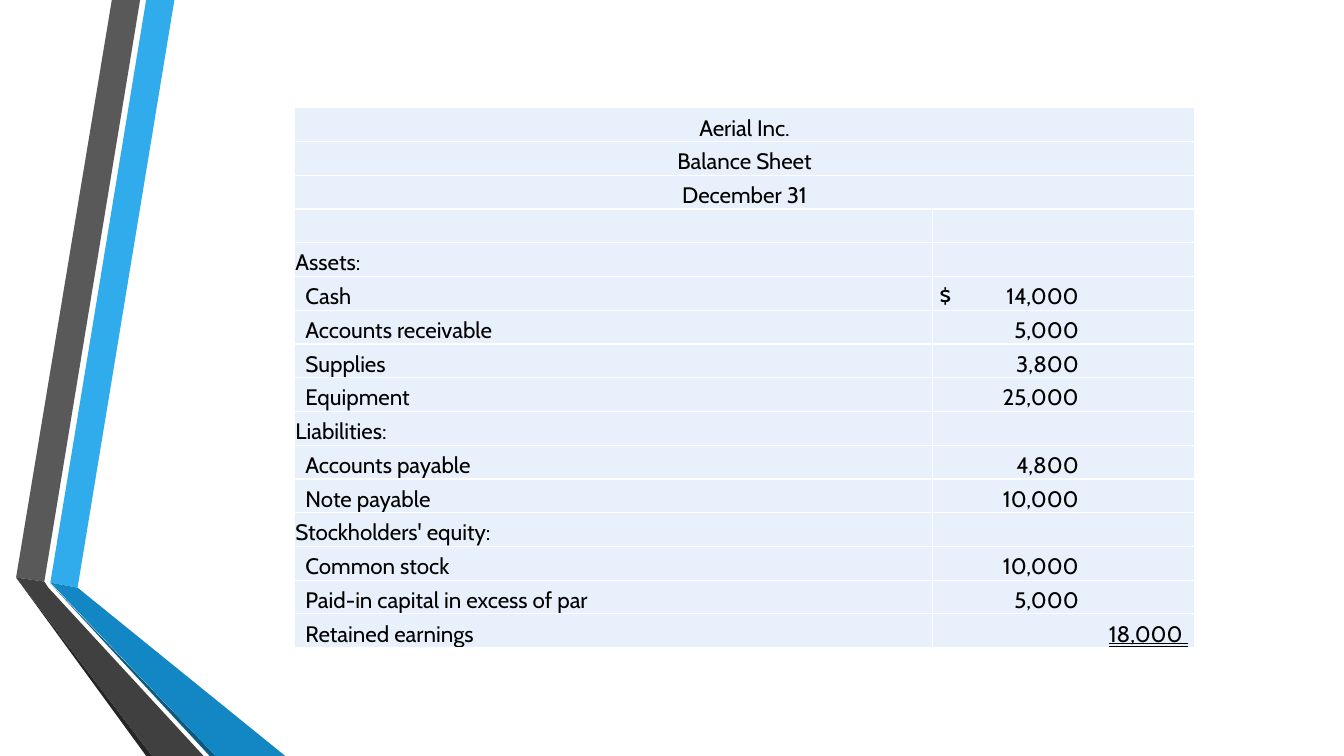
"""Build a balance sheet slide with angled ribbons on the left."""
from lxml import etree
from pptx import Presentation
from pptx.dml.color import RGBColor
from pptx.enum.text import MSO_ANCHOR, MSO_UNDERLINE, PP_ALIGN
from pptx.oxml.ns import qn
from pptx.util import Inches, Pt

CENTER, LEFT = PP_ALIGN.CENTER, PP_ALIGN.LEFT
BOTTOM = MSO_ANCHOR.BOTTOM
DOUBLE = MSO_UNDERLINE.DOUBLE_LINE

HEADINGS = ["Aerial Inc.", "Balance Sheet", "December 31"]
SECTIONS = [
    ("Assets:", [
        ("Cash", "$\t14,000"),
        ("Accounts receivable", "\t5,000"),
        ("Supplies", "\t3,800"),
        ("Equipment", "\t25,000"),
    ]),
    ("Liabilities:", [
        ("Accounts payable", "\t4,800"),
        ("Note payable", "\t10,000"),
    ]),
    ("Stockholders' equity:", [
        ("Common stock", "\t10,000"),
        ("Paid-in capital in excess of par", "\t5,000"),
        ("Retained earnings", "\t18,000 "),
    ]),
]
RIBBONS = [
    ("30ACEC", [(0.5, 5.78), (0.77, 5.83), (1.73, 0), (1.45, 0)]),
    ("595959", [(1.39, 0), (1.11, 0), (0.16, 5.73), (0.44, 5.77)]),
    ("262626", [(0.16, 5.73), (1.45, 7.5), (1.51, 7.5)]),
    ("0C5A82", [(0.5, 5.79), (2.08, 7.5), (2.14, 7.5)]),
    ("1287C3", [(0.5, 5.78), (2.14, 7.5), (2.83, 7.5), (0.77, 5.83)]),
    ("404040", [(2.02, 7.5), (0.48, 5.83), (0.44, 5.77), (0.16, 5.73), (1.51, 7.5)]),
]
FONT, SIZE = "Cabin", 16
INK, PANEL, RULE = "000000", "E8F1FB", "FFFFFF"
SHEET_LEFT, SHEET_TOP = 2.92, 1.07
COLUMNS = [6.33, 2.6]
ROW_HEIGHT = 0.335
EDGE, ITEM_INDENT = 0.01, 0.11
AMOUNT_INDENT, AMOUNT_TAB = 0.07, 1.38
TOTAL_INDENT, TOTAL_TAB = 1.11, 1.42


def color(code):
    return RGBColor.from_string(code)


def draw_ribbon(slide, code, corners):
    points = [(Inches(x), Inches(y)) for x, y in corners]
    outline = slide.shapes.build_freeform(*points[0])
    outline.add_line_segments(points[1:], close=True)
    ribbon = outline.convert_to_shape()
    ribbon.shadow.inherit = False
    ribbon.fill.solid()
    ribbon.fill.fore_color.rgb = color(code)
    ribbon.line.fill.background()


def add_borders(cell):
    properties = cell._tc.get_or_add_tcPr()
    for side in ("lnL", "lnR", "lnT", "lnB"):
        border = etree.SubElement(properties, qn(f"a:{side}"), w=str(Pt(1)))
        fill = etree.SubElement(border, qn("a:solidFill"))
        etree.SubElement(fill, qn("a:srgbClr"), val=RULE)


def add_right_tab(paragraph, position):
    tabs = etree.Element(qn("a:tabLst"))
    etree.SubElement(tabs, qn("a:tab"), pos=str(Inches(position)), algn="r")
    paragraph._p.get_or_add_pPr().insert(0, tabs)


def fill_cell(cell, text="", indent=EDGE, align=LEFT, tab=None, underline=None):
    add_borders(cell)
    cell.fill.solid()
    cell.fill.fore_color.rgb = color(PANEL)
    cell.vertical_anchor = BOTTOM
    cell.margin_left = Inches(indent)
    cell.margin_right = cell.margin_top = Inches(EDGE)
    cell.margin_bottom = 0
    cell.text = text
    paragraph = cell.text_frame.paragraphs[0]
    paragraph.alignment = align
    if tab:
        add_right_tab(paragraph, tab)
    font = paragraph.font
    font.name, font.size, font.underline = FONT, Pt(SIZE), underline
    font.color.rgb = color(INK)


def draw_sheet(slide):
    entries = [("", "", EDGE)]
    for section, accounts in SECTIONS:
        entries.append((section, "", EDGE))
        entries += [(account, amount, ITEM_INDENT) for account, amount in accounts]
    row_count = len(HEADINGS) + len(entries)
    sheet = slide.shapes.add_table(
        row_count, len(COLUMNS), Inches(SHEET_LEFT), Inches(SHEET_TOP),
        Inches(sum(COLUMNS)), Inches(ROW_HEIGHT * row_count)).table
    sheet.first_row = sheet.horz_banding = False
    for column, width in zip(sheet.columns, COLUMNS):
        column.width = Inches(width)
    for row in sheet.rows:
        row.height = Inches(ROW_HEIGHT)

    for row, heading in enumerate(HEADINGS):
        sheet.cell(row, 0).merge(sheet.cell(row, 1))
        fill_cell(sheet.cell(row, 0), heading, align=CENTER)
        fill_cell(sheet.cell(row, 1))
    for row, (account, amount, indent) in enumerate(entries, len(HEADINGS)):
        fill_cell(sheet.cell(row, 0), account, indent)
        if row == row_count - 1:
            fill_cell(sheet.cell(row, 1), amount, TOTAL_INDENT,
                      tab=TOTAL_TAB, underline=DOUBLE)
        else:
            fill_cell(sheet.cell(row, 1), amount, AMOUNT_INDENT, tab=AMOUNT_TAB)


def main():
    deck = Presentation()
    deck.slide_width, deck.slide_height = Inches(13.33), Inches(7.5)
    slide = deck.slides.add_slide(deck.slide_layouts[6])
    for code, corners in RIBBONS:
        draw_ribbon(slide, code, corners)
    draw_sheet(slide)
    deck.save("out.pptx")


if __name__ == "__main__":
    main()
